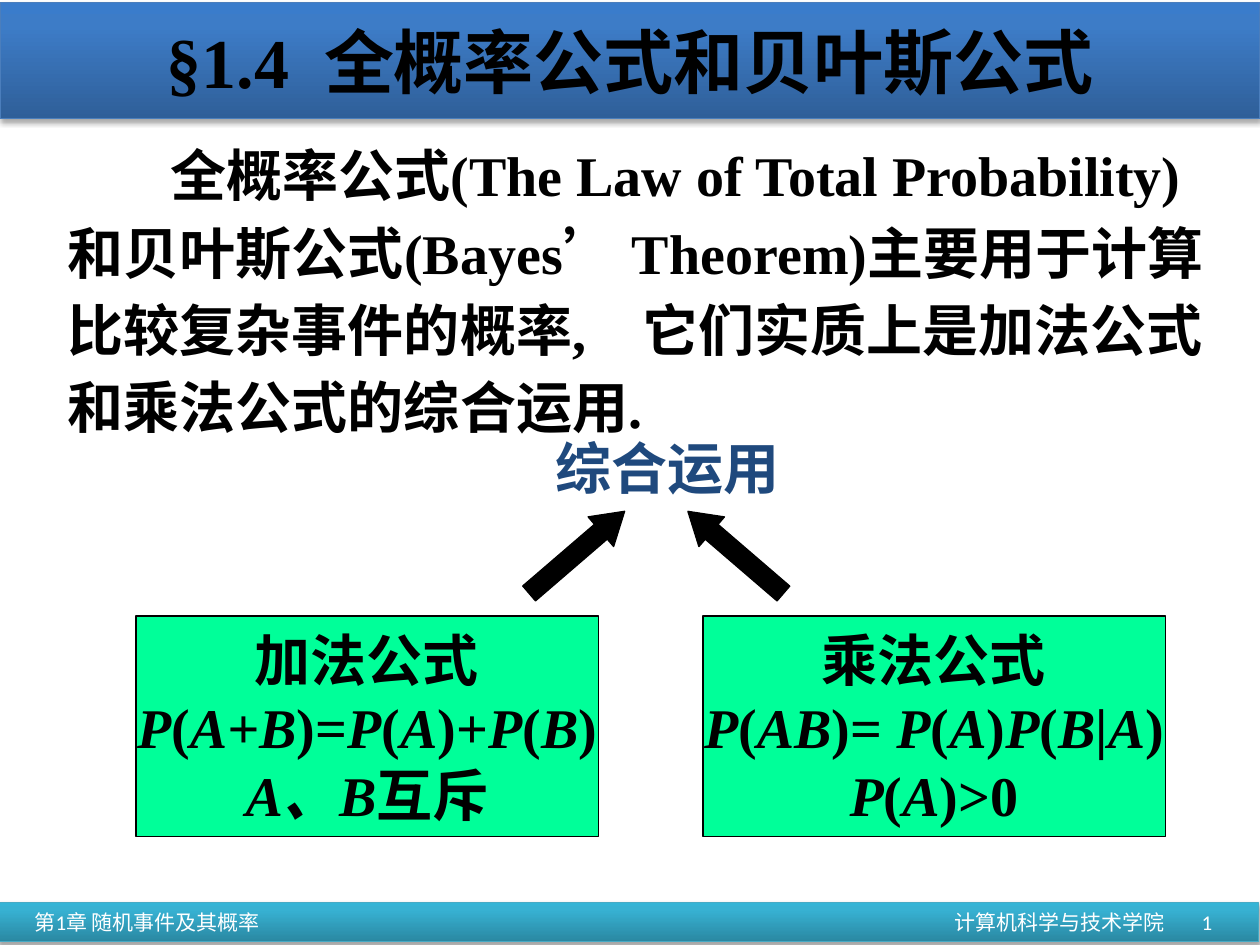
from copy import deepcopy
from lxml import etree
from pptx import Presentation
from pptx.dml.color import RGBColor
from pptx.enum.shapes import MSO_SHAPE as SHAPE
from pptx.enum.text import MSO_ANCHOR as ANCHOR, PP_ALIGN as ALIGN
from pptx.oxml import parse_xml
from pptx.oxml.ns import nsdecls
from pptx.util import Cm, Pt

rgb = RGBColor.from_string
SERIF = "Times New Roman"


def write(s, lines, size, font, color, align, bold=True, wrap=True):
    tf = s.text_frame
    tf.word_wrap = wrap
    tf.vertical_anchor = ANCHOR.MIDDLE
    for i, line in enumerate(lines):
        p = tf.paragraphs[0] if i == 0 else tf.add_paragraph()
        p.alignment = align
        for j, part in enumerate(line.split("_")):
            if part:
                r = p.add_run()
                r.text = part
                r.font.size, r.font.name, r.font.bold = Pt(size), font, bold
                r.font.italic = j % 2 == 1
                r.font.color.rgb = rgb(color)
    return tf


prs = Presentation()
prs.slide_width, prs.slide_height = Cm(25.4), Cm(19.05)
slide = prs.slides.add_slide(prs.slide_layouts[6])
shapes = slide.shapes

bars = [
    (-0.03, 18.19, 0.79, ["2A88A2", "37B1D2", "34B4D6"], "46AAC5"),
    (0, 0.05, 2.34, ["2F5F99", "3D7CC7", "3A7CCB"], "4B7EBC"),
]
for x, y, h, colors, edge in bars:
    s = shapes.add_shape(SHAPE.RECTANGLE, Cm(x), Cm(y), Cm(25.4), Cm(h))
    s.fill.gradient()
    s.fill.gradient_angle = 90
    last = s.fill._fill._gradFill.gsLst[-1]
    last.addprevious(deepcopy(last))
    for stop, position, color in zip(s.fill.gradient_stops, (0, 0.8, 1), colors):
        stop.position = position
        stop.color.rgb = rgb(color)
    s.line.color.rgb = rgb(edge)
    s.line.width = Pt(0.75)
    s.shadow.inherit = False
    s._element.spPr.find("{*}effectLst").append(parse_xml(
        f'<a:outerShdw {nsdecls("a")} blurRad="40000" dist="23000" dir="5400000" rotWithShape="0">'
        '<a:srgbClr val="000000"><a:alpha val="35000"/></a:srgbClr></a:outerShdw>'))

footers = [
    (0.45, 10, "第1章 随机事件及其概率", ALIGN.LEFT),
    (13.72, 10, "计算机科学与技术学院", ALIGN.RIGHT),
    (18.77, 5.92, "1", ALIGN.RIGHT),
]
for x, w, text, align in footers:
    s = shapes.add_textbox(Cm(x), Cm(18.08), Cm(w), Cm(1.02))
    write(s, [text], 12, "Calibri", "FFFFFF", align, bold=False)

s = shapes.add_textbox(Cm(1.27), Cm(0.25), Cm(22.86), Cm(1.96))
write(s, ["§1.4  全概率公式和贝叶斯公式"], 40, SERIF, "000000", ALIGN.CENTER)

s = shapes.add_textbox(Cm(1.12), Cm(2.51), Cm(23.42), Cm(6.55))
intro = ("全概率公式(The Law of Total Probability)和贝叶斯公式(Bayes’ Theorem)"
         "主要用于计算比较复杂事件的概率,　它们实质上是加法公式和乘法公式的综合运用.")
tf = write(s, [intro], 32, SERIF, "000000", ALIGN.LEFT)
tf.vertical_anchor = ANCHOR.TOP
p = tf.paragraphs[0]
p.line_spacing = 1.15
p._p.get_or_add_pPr().set("indent", str(Cm(2.06)))

s = shapes.add_textbox(Cm(9.96), Cm(8.61), Cm(6.99), Cm(1.6))
write(s, ["综合运用"], 32, SERIF, "1F497D", ALIGN.CENTER)

formulas = [
    (2.74, ["加法公式", "_P_(_A+B_)=_P_(_A_)+_P_(_B_)", "_A、B_互斥"]),
    (14.17, ["乘法公式", "_P_(_AB_)= _P_(_A_)_P_(_B_|_A_)", "_P_(_A_)>0"]),
]
for x, lines in formulas:
    s = shapes.add_shape(SHAPE.RECTANGLE, Cm(x), Cm(12.42), Cm(9.32), Cm(4.45))
    s.shadow.inherit = False
    s.fill.solid()
    s.fill.fore_color.rgb = rgb("00FF99")
    s.line.color.rgb = rgb("000000")
    s.line.width = Pt(0.75)
    write(s, lines, 32, SERIF, "000000", ALIGN.CENTER, wrap=False)

for x, angle in [(10.36, 319.3), (13.56, 220.7)]:
    s = shapes.add_shape(SHAPE.RIGHT_ARROW, Cm(x), Cm(10.74), Cm(2.54), Cm(0.79))
    s.adjustments[0], s.adjustments[1] = 0.5, 0.8
    s.rotation = angle
    s.shadow.inherit = False
    s.fill.solid()
    s.fill.fore_color.rgb = rgb("000000")
    s.line.color.rgb = rgb("000000")
    s.line.width = Pt(0.75)

prs.save("out.pptx")
